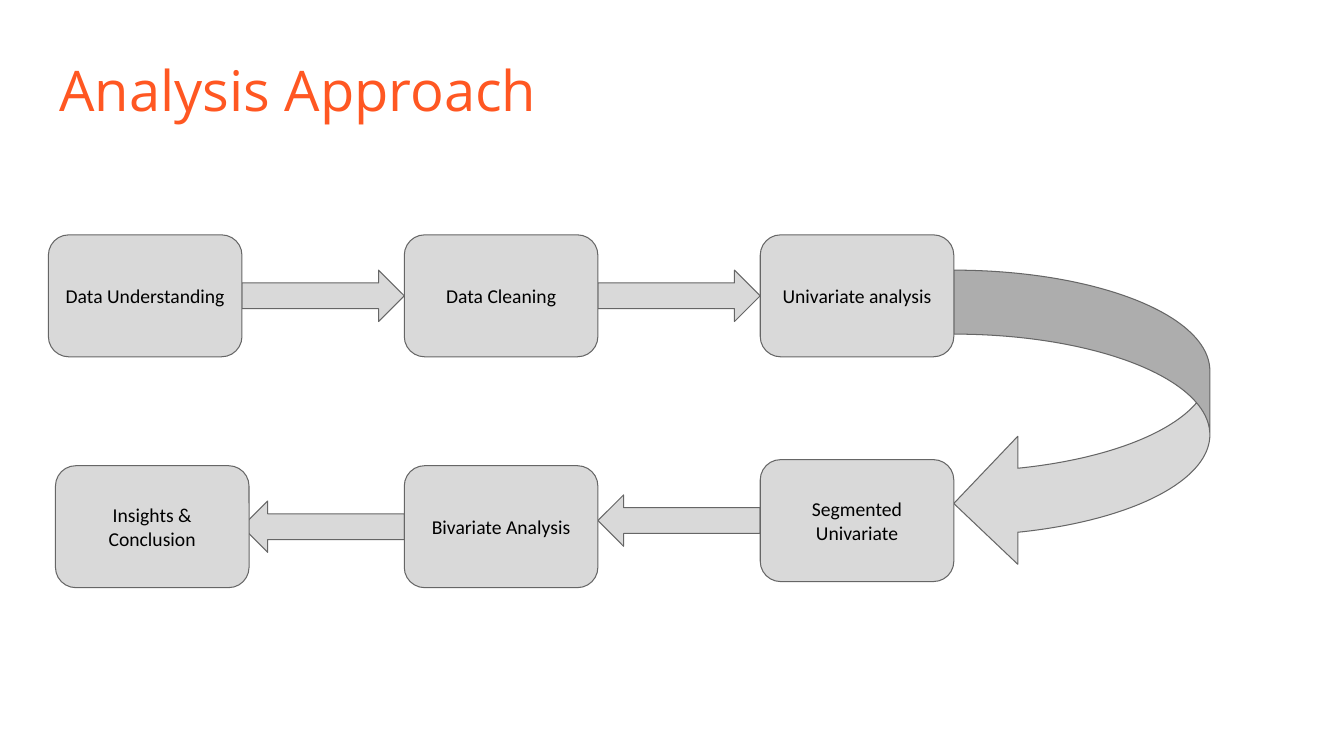
from pptx import Presentation
from pptx.dml.color import RGBColor
from pptx.enum.shapes import MSO_SHAPE
from pptx.enum.text import MSO_ANCHOR, MSO_AUTO_SIZE, PP_ALIGN
from pptx.util import Inches, Pt

STEP_SHAPE = MSO_SHAPE.FLOWCHART_ALTERNATE_PROCESS
RIGHT_ARROW = MSO_SHAPE.RIGHT_ARROW
LEFT_ARROW = MSO_SHAPE.LEFT_ARROW
TURN_ARROW = MSO_SHAPE.CURVED_LEFT_ARROW
TOP, MIDDLE = MSO_ANCHOR.TOP, MSO_ANCHOR.MIDDLE
LEFT, CENTER = PP_ALIGN.LEFT, PP_ALIGN.CENTER
NO_FIT = MSO_AUTO_SIZE.NONE

STEP_WIDTH, STEP_HEIGHT = 1.92, 1.21
ARROW_WIDTH, ARROW_HEIGHT = 1.61, 0.51
ARROW_DROP = 0.35
FIRST_LEFT = 0.48
PITCH = STEP_WIDTH + ARROW_WIDTH
COLUMNS = [FIRST_LEFT + PITCH * index for index in range(3)]
UPPER_TOP, LOWER_TOP, SEGMENTED_TOP = 2.33, 4.62, 4.56

STEPS = [
    ("Data Understanding", COLUMNS[0], UPPER_TOP),
    ("Data Cleaning", COLUMNS[1], UPPER_TOP),
    ("Univariate analysis", COLUMNS[2], UPPER_TOP),
    ("Segmented Univariate", COLUMNS[2], SEGMENTED_TOP),
    ("Bivariate Analysis", COLUMNS[1], LOWER_TOP),
    ("Insights & Conclusion", 0.55, LOWER_TOP),
]
ARROWS = [
    (RIGHT_ARROW, COLUMNS[0], UPPER_TOP),
    (RIGHT_ARROW, COLUMNS[1], UPPER_TOP),
    (LEFT_ARROW, COLUMNS[1], SEGMENTED_TOP),
    (LEFT_ARROW, COLUMNS[0], LOWER_TOP),
]


def color(value):
    return RGBColor.from_string(value)


def write_text(frame, text, font, size, text_color, align, anchor, inset):
    frame.text = text
    frame.word_wrap = True
    frame.auto_size = NO_FIT
    frame.vertical_anchor = anchor
    frame.margin_left = frame.margin_right = Inches(inset)
    frame.margin_top = frame.margin_bottom = Inches(inset)
    para = frame.paragraphs[0]
    para.alignment = align
    span = para.runs[0]
    span.font.name = font
    span.font.size = Pt(size)
    span.font.color.rgb = color(text_color)
    return para


def add_title(page, text):
    title = page.shapes.title
    title.left, title.top = Inches(0.59), Inches(0.6)
    title.width, title.height = Inches(10.51), Inches(0.41)
    para = write_text(title.text_frame, text, "Open Sans", 40, "FF5722", LEFT, TOP, 0)
    para.line_spacing = 0.95


def add_block(page, kind, left, top, width, height):
    block = page.shapes.add_shape(
        kind, Inches(left), Inches(top), Inches(width), Inches(height)
    )
    block.shadow.inherit = False
    block.fill.solid()
    block.fill.fore_color.rgb = color("D9D9D9")
    block.line.color.rgb = color("666666")
    block.line.width = Pt(0.75)
    return block


def add_step(page, text, left, top):
    step = add_block(page, STEP_SHAPE, left, top, STEP_WIDTH, STEP_HEIGHT)
    write_text(step.text_frame, text, "Calibri", 14, "000000", CENTER, MIDDLE, 0.1)


def add_arrow(page, kind, column, row_top):
    add_block(page, kind, column + STEP_WIDTH, row_top + ARROW_DROP,
              ARROW_WIDTH, ARROW_HEIGHT)


def main():
    deck = Presentation()
    deck.slide_width, deck.slide_height = Inches(13.33), Inches(7.5)
    page = deck.slides.add_slide(deck.slide_layouts[5])
    add_title(page, "Analysis Approach")
    for kind, column, row_top in ARROWS:
        add_arrow(page, kind, column, row_top)
    add_block(page, TURN_ARROW, COLUMNS[2] + STEP_WIDTH, UPPER_TOP + ARROW_DROP,
              2.54, 2.95)
    for text, left, top in STEPS:
        add_step(page, text, left, top)
    deck.save("out.pptx")


if __name__ == "__main__":
    main()
